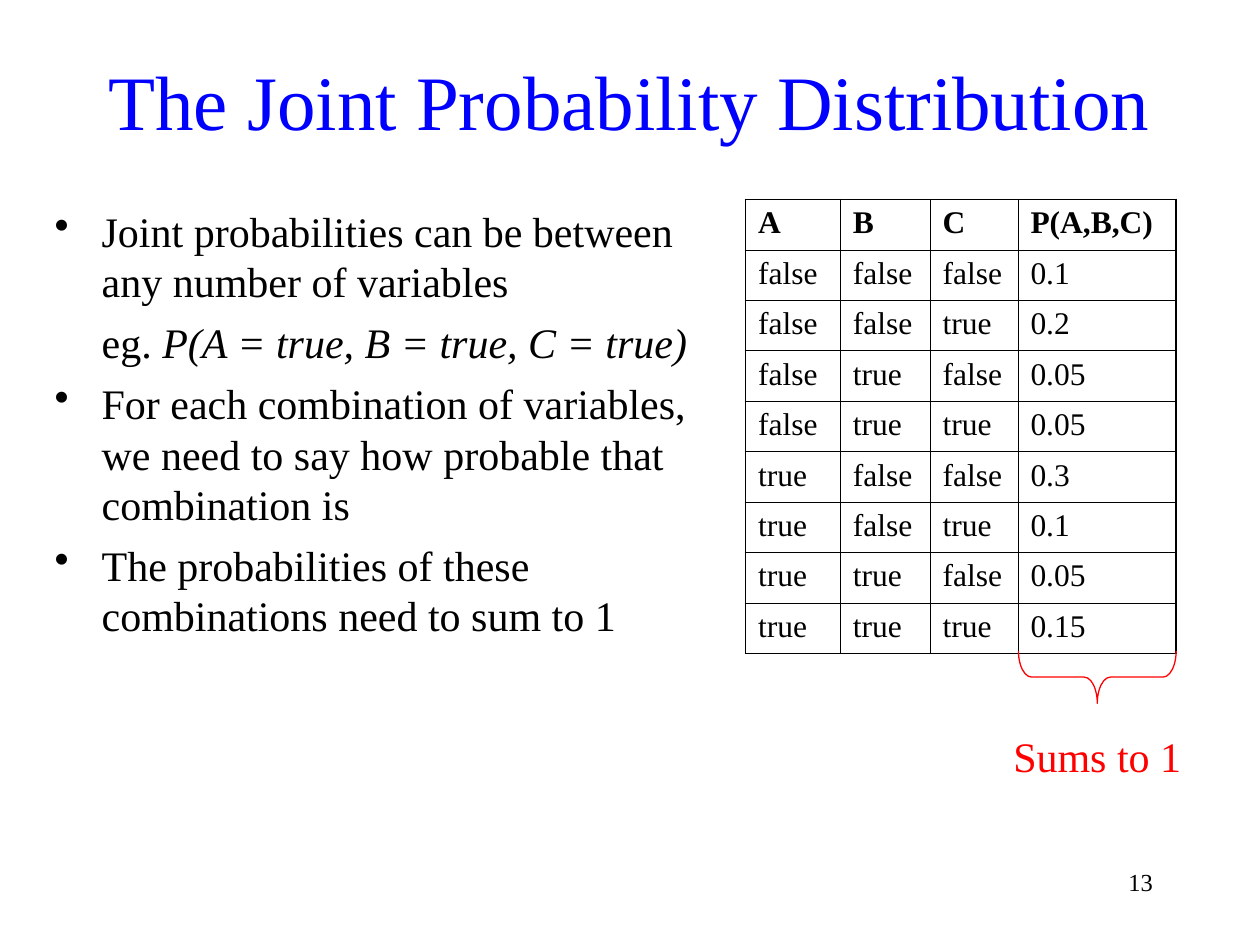
from typing import NamedTuple

from lxml.etree import SubElement
from pptx import Presentation
from pptx.dml.color import RGBColor as Rgb
from pptx.enum.shapes import MSO_SHAPE as Kind
from pptx.enum.text import MSO_ANCHOR as Anchor, PP_ALIGN as Align
from pptx.oxml.ns import qn
from pptx.util import Cm, Pt

FACE = "Times New Roman"
BLACK, BLUE, RED = "000000", "0000FF", "FF0000"
THIN, THICK = 0.45, 1.08
INDENT = Cm(0.95)


class Box(NamedTuple):
    left: float
    top: float
    width: float
    height: float

    def cm(self):
        return [Cm(side) for side in self]


class Point(NamedTuple):
    text: str
    math: str = ""
    mark: bool = True


class Label(NamedTuple):
    text: str
    box: Box
    size: int
    tint: str
    align: Align


POINTS = [
    Point("Joint probabilities can be between any number of variables"),
    Point("eg. ", "P(A = true, B = true, C = true)", False),
    Point("For each combination of variables, we need to say how probable that combination is"),
    Point("The probabilities of these combinations need to sum to 1"),
]
LABELS = [
    Label("Sums to 1", Box(20.11, 14.6, 4.02, 1.27), 24, RED, Align.CENTER),
    Label("13", Box(20.75, 17.35, 2.74, 1.27), 14, BLACK, Align.RIGHT),
]
HEAD = ["A", "B", "C", "P(A,B,C)"]
ODDS = ["0.1", "0.2", "0.05", "0.05", "0.3", "0.1", "0.05", "0.15"]
WIDTHS = [1.91, 1.81, 1.77, 3.18]
ROW = 1.01


def color(tint: str) -> Rgb:
    return Rgb.from_string(tint)


def style(para, size: int, tint: str = BLACK, bold: bool = False) -> None:
    font = para.font
    font.name, font.size, font.bold = FACE, Pt(size), bold
    font.color.rgb = color(tint)


def add_box(slide, box: Box):
    frame = slide.shapes.add_textbox(*box.cm()).text_frame
    frame.word_wrap = True
    return frame


def add_title(slide, text: str, box: Box) -> None:
    title = slide.shapes.title
    title.left, title.top, title.width, title.height = box.cm()
    frame = title.text_frame
    frame.text = text
    frame.vertical_anchor = Anchor.MIDDLE
    para = frame.paragraphs[0]
    para.alignment = Align.CENTER
    style(para, 44, BLUE)


def add_points(slide, points: list[Point], box: Box) -> None:
    frame = add_box(slide, box)
    for i, point in enumerate(points):
        para = frame.add_paragraph() if i else frame.paragraphs[0]
        if i:
            para.space_before = Pt(6)
        props = para._p.get_or_add_pPr()
        props.set("marL", str(INDENT))
        props.set("indent", str(-INDENT if point.mark else 0))
        if point.mark:
            SubElement(props, qn("a:buChar")).set("char", "•")
        style(para, 24)
        para.add_run().text = point.text
        if point.math:
            run = para.add_run()
            run.text = point.math
            run.font.italic = True


def add_edge(cell, side: str, width: float) -> None:
    line = SubElement(cell._tc.get_or_add_tcPr(), qn(f"a:{side}"), w=str(Pt(width)))
    fill = SubElement(line, qn("a:solidFill"))
    SubElement(fill, qn("a:srgbClr"), val=BLACK)


def add_grid(slide, rows: list[list[str]], left: float, top: float) -> None:
    box = Box(left, top, sum(WIDTHS), ROW * len(rows))
    table = slide.shapes.add_table(len(rows), len(HEAD), *box.cm()).table
    table.first_row = table.horz_banding = False
    for col, width in zip(table.columns, WIDTHS):
        col.width = Cm(width)
    for r, row in enumerate(rows):
        table.rows[r].height = Cm(ROW)
        for c, text in enumerate(row):
            cell = table.cell(r, c)
            cell.text = text
            style(cell.text_frame.paragraphs[0], 18, bold=r == 0)
            edges = {
                "lnL": c == 0,
                "lnR": c == len(row) - 1,
                "lnT": r == 0,
                "lnB": r == len(rows) - 1,
            }
            for side, outer in edges.items():
                add_edge(cell, side, THICK if outer else THIN)
            cell.fill.background()


def add_brace(slide, box: Box) -> None:
    brace = slide.shapes.add_shape(Kind.RIGHT_BRACE, *box.cm())
    brace.rotation = 90
    brace.adjustments[0] = 0.25
    brace.shadow.inherit = False
    brace.fill.background()
    brace.line.color.rgb = color(RED)
    brace.line.width = Pt(0.75)


def add_label(slide, label: Label) -> None:
    para = add_box(slide, label.box).paragraphs[0]
    para.text = label.text
    para.alignment = label.align
    style(para, label.size, label.tint)


def main() -> None:
    deck = Presentation()
    deck.slide_width, deck.slide_height = Cm(25.4), Cm(19.05)
    slide = deck.slides.add_slide(deck.slide_layouts[5])
    add_title(slide, "The Joint Probability Distribution", Box(1.9, 0.42, 21.59, 3.18))
    add_points(slide, POINTS, Box(0.85, 4.02, 13.55, 9.1))
    truth = [[str(bool(n & bit)).lower() for bit in (4, 2, 1)] for n in range(8)]
    rows = [HEAD] + [vals + [odds] for vals, odds in zip(truth, ODDS)]
    add_grid(slide, rows, 15.03, 4.02)
    add_brace(slide, Box(21.59, 12.06, 1.06, 3.18))
    for label in LABELS:
        add_label(slide, label)
    deck.save("out.pptx")


if __name__ == "__main__":
    main()
